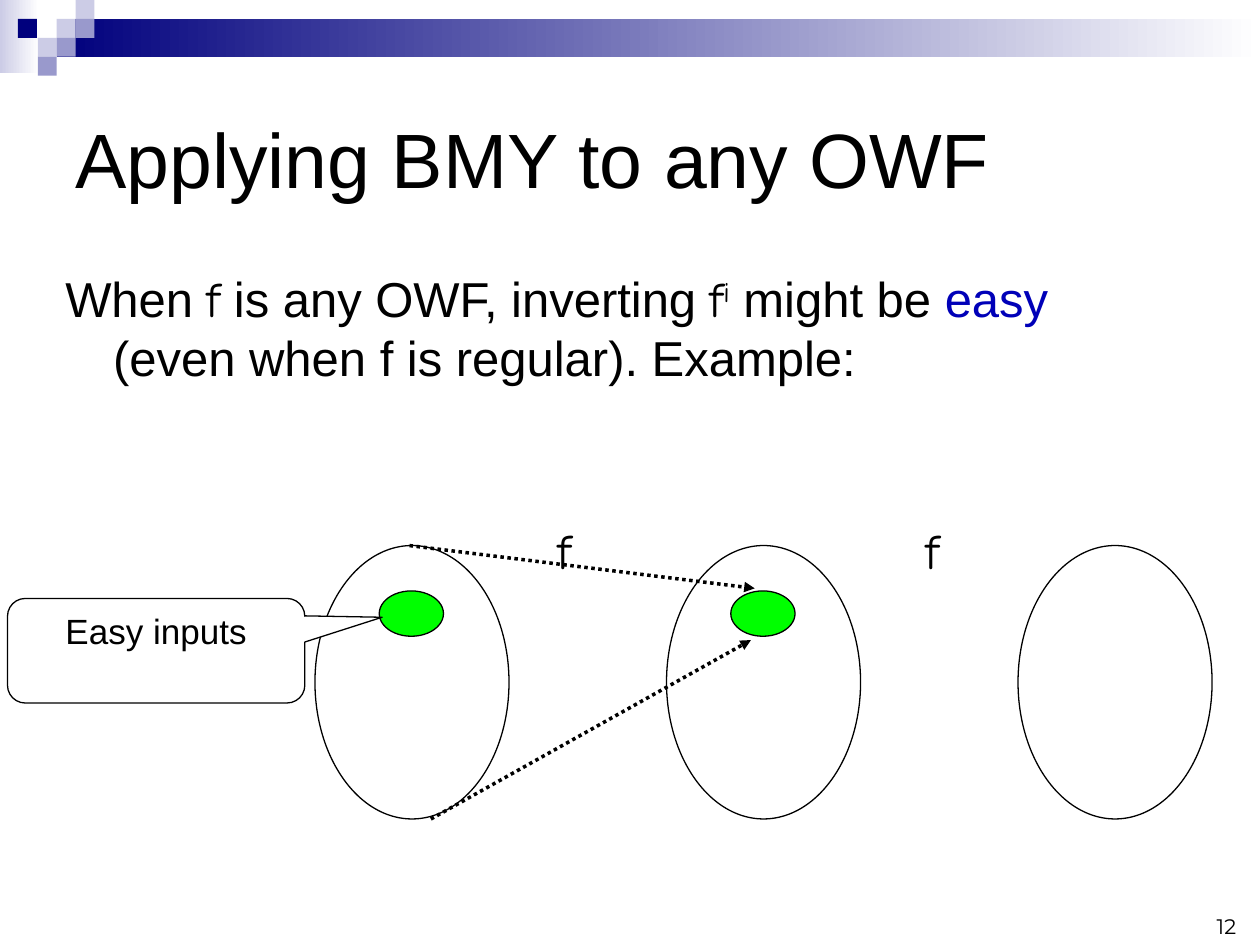
from dataclasses import dataclass

from lxml.etree import SubElement
from pptx import Presentation
from pptx.dml.color import RGBColor
from pptx.enum.dml import MSO_LINE
from pptx.enum.shapes import MSO_CONNECTOR, MSO_SHAPE
from pptx.enum.text import MSO_ANCHOR, PP_ALIGN
from pptx.oxml.ns import qn
from pptx.util import Inches, Pt

# The slide is a grid of 100 columns by 75 rows
COLUMNS, ROWS = 100, 75
WIDTH, HEIGHT = Inches(10), Inches(7.5)
TILE = 1.5
BLACK, WHITE, GREEN, BLUE = "000000", "FFFFFF", "00FF00", "0000B8"
NAVY, LAVENDER, PERIWINKLE = "00007D", "CCCCE6", "9999CC"
SANS, MATH, NUMBER = "Arial", "Comic Neue", "Montserrat"


@dataclass(frozen=True)
class Box:
    left: float
    top: float
    width: float
    height: float

    def place(self) -> tuple[int, int, int, int]:
        return (column(self.left), row(self.top),
                column(self.width), row(self.height))


@dataclass(frozen=True)
class Piece:
    text: str
    font: str = SANS
    color: str = BLACK
    raised: bool = False


def column(count: float) -> int:
    return round(WIDTH * count / COLUMNS)


def row(count: float) -> int:
    return round(HEIGHT * count / ROWS)


def rgb(color: str) -> RGBColor:
    return RGBColor.from_string(color)


def draw_shape(slide, kind, box: Box, fill: str, outlined: bool = False):
    shape = slide.shapes.add_shape(kind, *box.place())
    shape.shadow.inherit = False
    shape.fill.solid()
    shape.fill.fore_color.rgb = rgb(fill)
    if outlined:
        shape.line.color.rgb = rgb(BLACK)
        shape.line.width = Pt(0.75)
    else:
        shape.line.fill.background()
    return shape


def draw_fade(slide, box: Box, color: str) -> None:
    """Draw a bar that fades to white on the right."""
    bar = draw_shape(slide, MSO_SHAPE.RECTANGLE, box, color)
    bar.fill.gradient()
    bar.fill.gradient_angle = 0
    for stop, stop_color in zip(bar.fill.gradient_stops, (color, WHITE)):
        stop.color.rgb = rgb(stop_color)


def write(shape, pieces: list[Piece], size: float, anchor=MSO_ANCHOR.TOP,
          align=PP_ALIGN.LEFT):
    frame = shape.text_frame
    frame.word_wrap = True
    frame.vertical_anchor = anchor
    paragraph = frame.paragraphs[0]
    paragraph.alignment = align
    for piece in pieces:
        run = paragraph.add_run()
        run.text = piece.text
        run.font.size = Pt(size)
        run.font.name = piece.font
        run.font.color.rgb = rgb(piece.color)
        if piece.raised:
            run.font._element.set("baseline", "30000")
    return paragraph


def draw_text(slide, box: Box, pieces: list[Piece], size: float, **layout):
    return write(slide.shapes.add_textbox(*box.place()), pieces, size, **layout)


def draw_arrow(slide, start: tuple[float, float], end: tuple[float, float]) -> None:
    arrow = slide.shapes.add_connector(
        MSO_CONNECTOR.STRAIGHT, column(start[0]), row(start[1]),
        column(end[0]), row(end[1]))
    arrow.line.color.rgb = rgb(BLACK)
    arrow.line.width = Pt(2)
    arrow.line.dash_style = MSO_LINE.ROUND_DOT
    SubElement(arrow.line._get_or_add_ln(), qn("a:tailEnd"), type="triangle")
    SubElement(arrow._element.spPr, qn("a:effectLst"))


def draw_banner(slide) -> None:
    draw_fade(slide, Box(0, 0, 3.1, 5.8), LAVENDER)
    draw_fade(slide, Box(3 * TILE, TILE, COLUMNS - 3 * TILE, 2 * TILE), NAVY)
    tiles = [(3, 1, LAVENDER), (4, 0, LAVENDER), (4, 1, PERIWINKLE),
             (2, 2, LAVENDER), (0.95, 1, NAVY), (3, 2, PERIWINKLE),
             (2, 3, PERIWINKLE)]
    for across, down, color in tiles:
        draw_shape(slide, MSO_SHAPE.RECTANGLE,
                   Box(across * TILE, down * TILE, TILE, TILE), color)


def draw_diagram(slide) -> None:
    # Three equally spaced domains, the first two with an easy subset
    first, pitch = 25, 27.9
    for index in range(3):
        left = first + index * pitch
        draw_shape(slide, MSO_SHAPE.OVAL, Box(left, 43.3, 15.4, 21.7), WHITE, True)
        if index < 2:
            draw_shape(slide, MSO_SHAPE.OVAL,
                       Box(left + 5.1, 46.9, 5.1, 3.6), GREEN, True)

    # Callout on the easy subset
    callout = draw_shape(slide, MSO_SHAPE.ROUNDED_RECTANGULAR_CALLOUT,
                         Box(0.6, 47.5, 23.6, 8.3), WHITE, True)
    for index, value in enumerate((0.76, -0.32, 0.17)):
        callout.adjustments[index] = value
    write(callout, [Piece("Easy inputs")], 20, align=PP_ALIGN.CENTER)

    # Function names between the domains
    for left in (43.3, 72.5):
        draw_text(slide, Box(left, 40.8, 3.3, 5.7), [Piece("f", MATH)], 28)

    # The whole domain maps into the easy subset
    draw_arrow(slide, (34.2, 65), (59.6, 50.8))
    draw_arrow(slide, (32.5, 43.3), (59.9, 46.7))


def main() -> None:
    presentation = Presentation()
    presentation.slide_width, presentation.slide_height = WIDTH, HEIGHT
    slide = presentation.slides.add_slide(presentation.slide_layouts[6])

    draw_banner(slide)
    draw_text(slide, Box(5, 5, 90, 15), [Piece("Applying BMY to any OWF")], 44,
              anchor=MSO_ANCHOR.MIDDLE)

    # Statement with a hanging indent
    statement = draw_text(slide, Box(4.2, 20.8, 88.3, 18.3), [
        Piece("When "), Piece("f", MATH), Piece(" is any OWF, inverting "),
        Piece("f", MATH), Piece("i", MATH, raised=True), Piece(" might be "),
        Piece("easy", color=BLUE), Piece(" (even when f is regular). Example:"),
    ], 28)
    properties = statement._p.get_or_add_pPr()
    properties.set("marL", str(column(3.8)))
    properties.set("indent", str(-column(3.8)))

    draw_diagram(slide)
    draw_text(slide, Box(75.8, 70, 23.3, 5), [Piece("12", NUMBER)], 12,
              anchor=MSO_ANCHOR.BOTTOM, align=PP_ALIGN.RIGHT)
    presentation.save("out.pptx")


if __name__ == "__main__":
    main()
